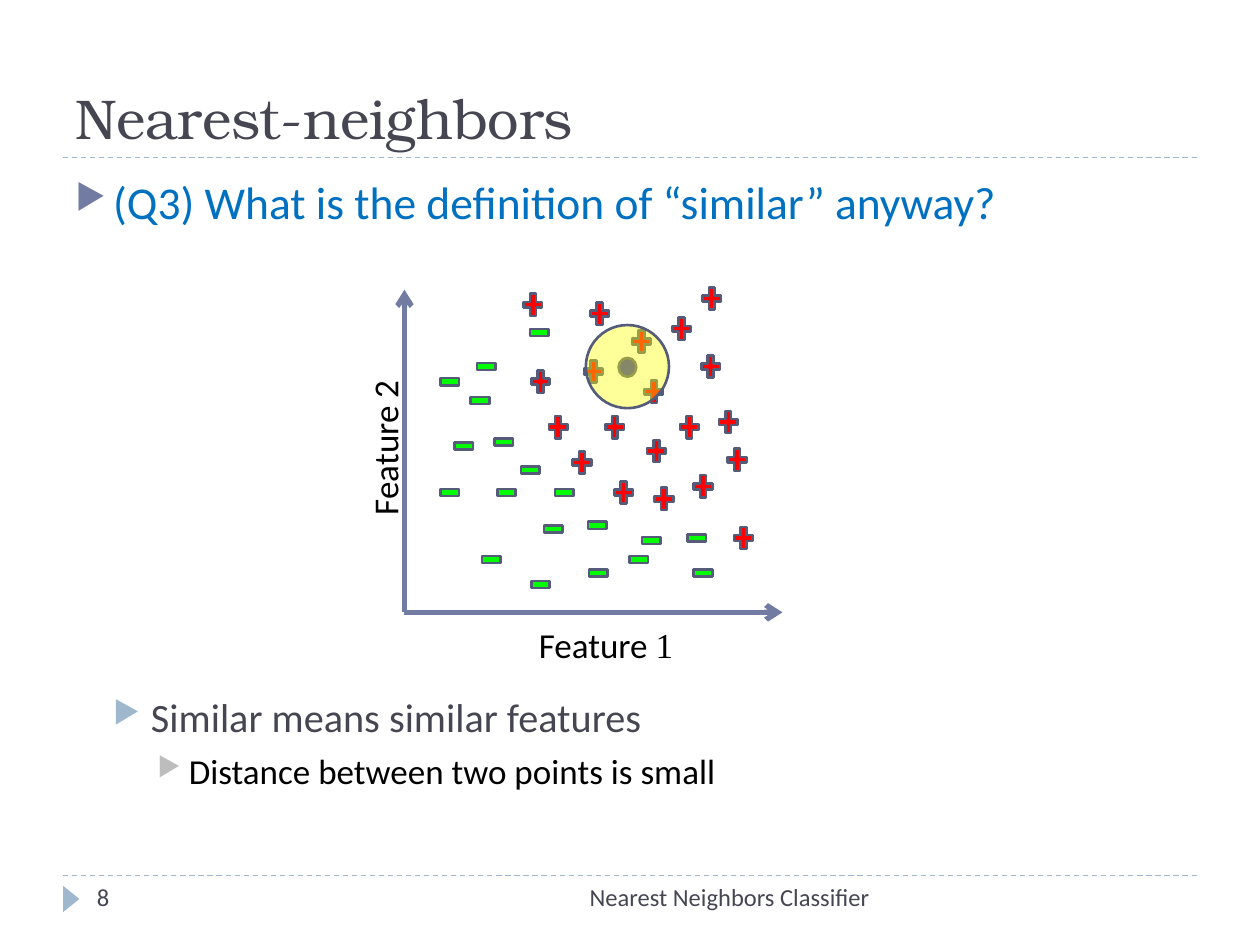
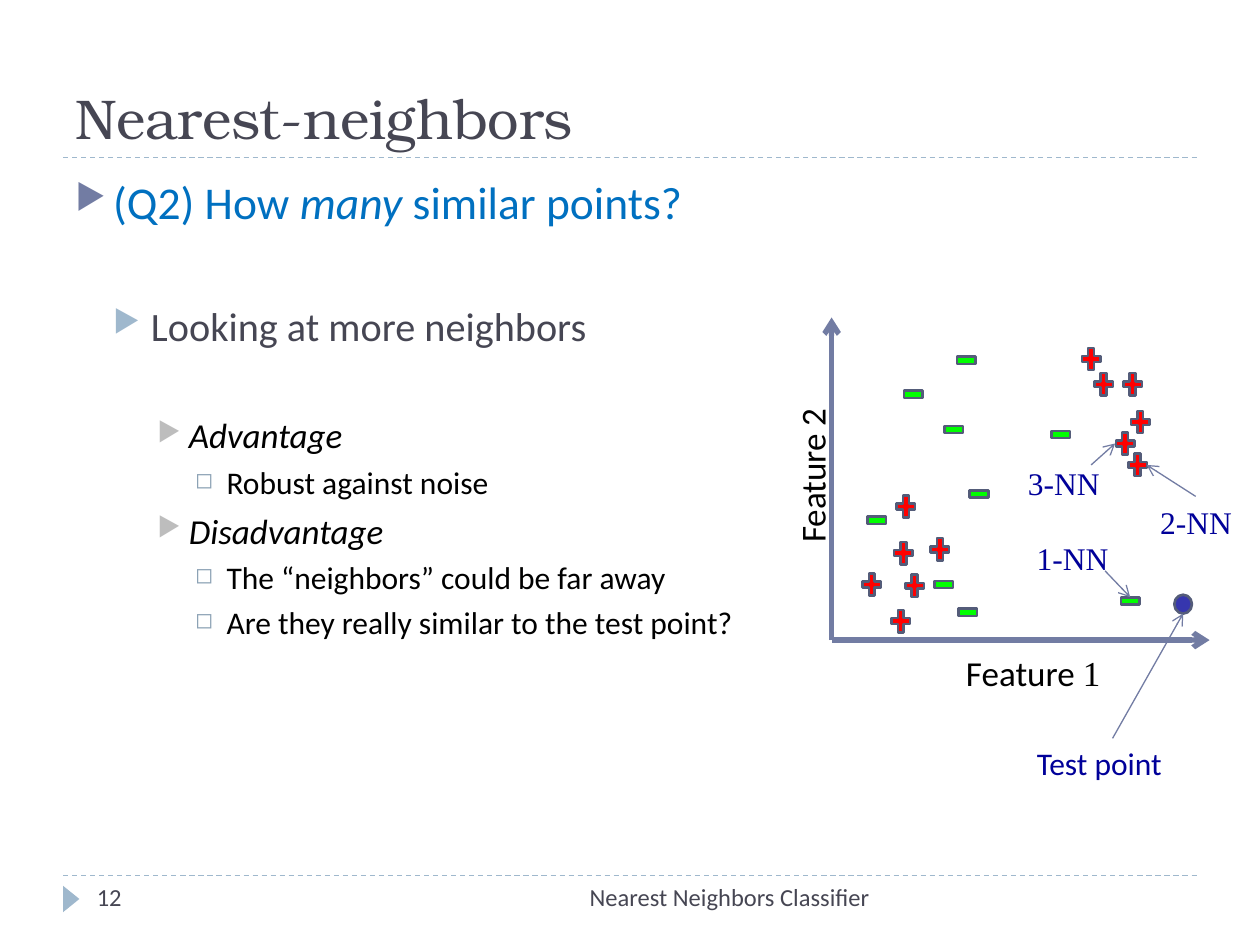
from dataclasses import dataclass

from lxml.etree import SubElement
from pptx import Presentation
from pptx.dml.color import RGBColor
from pptx.enum.dml import MSO_LINE
from pptx.enum.shapes import MSO_CONNECTOR, MSO_SHAPE
from pptx.enum.text import MSO_ANCHOR, MSO_AUTO_SIZE, PP_ALIGN
from pptx.oxml.ns import qn
from pptx.util import Inches, Pt


@dataclass(frozen=True)
class Theme:
    """Fonts, colours and type sizes of the deck."""
    head: str = "TeX Gyre Bonum"
    body: str = "Calibri"
    serif: str = "Times New Roman"
    ink: str = "464653"
    black: str = "000000"
    blue: str = "0070C0"
    navy: str = "000099"
    axis: str = "727CA3"
    edge: str = "545C79"
    pale: str = "9FB8CD"
    red: str = "FF0000"
    green: str = "00FF00"
    glow: str = "FFFF00"
    title: int = 32
    name: int = 20
    label: int = 18
    small: int = 14


@dataclass(frozen=True)
class Level:
    """Look of one outline level; indents in inches, the rest in points."""
    left: float
    hang: float
    gap: int
    size: int
    ink: str
    mark: str
    tint: str
    scale: int


T = Theme()
LEVELS = (
    Level(0.3, 0.3, 6, 26, T.blue, "▶", T.axis, 76),
    Level(0.6, 0.3, 5, 23, T.ink, "▶", T.pale, 76),
    Level(0.9, 0.25, 5, 20, T.black, "▶", "BDBDBD", 76),
    Level(1.2, 0.25, 4, 18, T.black, "◻", "8CA2B5", 70),
)


def paint(fill, tint, alpha=None):
    """Set a solid fill, see-through if alpha (percent) is given."""
    fill.solid()
    fill.fore_color.rgb = RGBColor.from_string(tint)
    if alpha:
        node = fill._xPr.find(qn("a:solidFill"))[0]
        SubElement(node, qn("a:alpha"), val=str(alpha * 1000))


def write(para, text, size, tint, font=T.body, slant=False):
    """Add one run to a paragraph."""
    run = para.add_run()
    run.text = text
    run.font.name, run.font.size = font, Pt(size)
    run.font.italic = slant
    run.font.color.rgb = RGBColor.from_string(tint)


def put_text(shapes, box, runs, align=PP_ALIGN.LEFT, grow=False, wrap=True):
    """Add a one-paragraph text box; runs are argument tuples for write."""
    shape = shapes.add_textbox(*map(Inches, box))
    frame = shape.text_frame
    frame.word_wrap = wrap
    if grow:
        frame.auto_size = MSO_AUTO_SIZE.SHAPE_TO_FIT_TEXT
    para = frame.paragraphs[0]
    para.alignment = align
    for run in runs:
        write(para, *run)
    return shape


def put_shape(shapes, kind, box, tint, alpha=None, edge=T.edge):
    """Add a filled preset shape with an optional outline."""
    shape = shapes.add_shape(kind, *map(Inches, box))
    shape.shadow.inherit = False
    paint(shape.fill, tint, alpha)
    if edge:
        paint(shape.line.fill, edge)
        shape.line.width = Pt(1.5)
    else:
        shape.line.fill.background()
    return shape


def put_line(shapes, start, end, tint, width, arrow=False, dash=False):
    """Add a straight line, dashed or ending in an arrowhead on demand."""
    line = shapes.add_connector(MSO_CONNECTOR.STRAIGHT,
                                *map(Inches, (*start, *end)))
    paint(line.line.fill, tint)
    line.line.width = Pt(width)
    if dash:
        line.line.dash_style = MSO_LINE.DASH
    if arrow:
        SubElement(line.line._get_or_add_ln(), qn("a:tailEnd"), type="arrow")
    SubElement(line._element.spPr, qn("a:effectLst"))


def put_frame(slide, number, box):
    """Place title, rules and footer inside the box."""
    left, top, wide, high = box
    title = slide.shapes.title
    title.left, title.top = Inches(left), Inches(top)
    title.width, title.height = Inches(wide), Inches(1.08)
    frame = title.text_frame
    frame.vertical_anchor = MSO_ANCHOR.BOTTOM
    frame.auto_size = MSO_AUTO_SIZE.NONE
    frame.paragraphs[0].alignment = PP_ALIGN.LEFT
    write(frame.paragraphs[0], "Nearest-neighbors", T.title, T.ink, T.head)

    foot = top + high - 0.4
    for y in (foot, top + 1.08):
        put_line(slide.shapes, (left, y), (left + wide, y), T.pale, 0.75,
                 dash=True)
    mark = put_shape(slide.shapes, MSO_SHAPE.ISOSCELES_TRIANGLE,
                     (left - 0.04, foot + 0.12, 0.21, 0.13), T.pale, edge=None)
    mark.rotation = 90
    put_text(slide.shapes, (left + 2.67, foot, 3.83, 0.4),
             [("Nearest Neighbors Classifier", T.small, T.ink)],
             PP_ALIGN.RIGHT)
    put_text(slide.shapes, (left + 0.17, foot, 2.17, 0.4),
             [(str(number), T.small, T.ink)])


def put_list(slide, box, items):
    """Place outline items: level, extra gap above in points, (text, slant)..."""
    frame = slide.shapes.add_textbox(*map(Inches, box)).text_frame
    frame.word_wrap = True
    for i, (depth, extra, *parts) in enumerate(items):
        look = LEVELS[depth]
        para = frame.add_paragraph() if i else frame.paragraphs[0]
        para.level = depth
        para.space_before = Pt(look.gap + extra)
        prop = para._p.get_or_add_pPr()
        prop.set("marL", str(Inches(look.left)))
        prop.set("indent", str(-Inches(look.hang)))
        tint = SubElement(prop, qn("a:buClr"))
        SubElement(tint, qn("a:srgbClr"), val=look.tint)
        SubElement(prop, qn("a:buSzPct"), val=str(look.scale * 1000))
        SubElement(prop, qn("a:buChar"), char=look.mark)
        for text, slant in parts:
            write(para, text, look.size, look.ink, slant=slant)


def put_plot(slide, box, plus, minus):
    """Place axes, their names and the marks, offset from the box corner."""
    left, top, wide, high = box
    base = top + high
    shapes = slide.shapes.add_group_shape().shapes
    for end in ((left + wide, base), (left, top)):
        put_line(shapes, (left, base), end, T.axis, 3, arrow=True)
    put_text(shapes, (left + 0.2, base + 0.04, 2.8, 0.31),
             [("Feature ", T.name, T.black),
              ("1", T.name, T.black, T.serif)], PP_ALIGN.CENTER, grow=True)
    side = put_text(shapes, (left - 1.88, base - 1.44, 3.28, 0.27),
                    [("Feature 2", T.name, T.black)], PP_ALIGN.CENTER,
                    grow=True)
    side.rotation = 270
    for kind, tint, spots in ((MSO_SHAPE.MATH_PLUS, T.red, plus),
                              (MSO_SHAPE.MATH_MINUS, T.green, minus)):
        for x, y in spots:
            put_shape(shapes, kind, (left + x, top + y, 0.2, 0.24), tint)


def put_point(slide, box, spot):
    """Place the test point, offset from the corner of the plot box."""
    put_shape(slide.shapes, MSO_SHAPE.OVAL,
              (box[0] + spot[0], box[1] + spot[1], 0.14, 0.15), T.navy, 79)


def put_notes(slide, box, notes):
    """Place labels with arrows: text, font, width, spot, start, end."""
    left, top = box[:2]
    for text, font, wide, spot, *ends in notes:
        put_text(slide.shapes, (left + spot[0], top + spot[1], wide, 0.4),
                 [(text, T.label, T.navy, font)], grow=True, wrap=False)
        start, end = [(left + x, top + y) for x, y in ends]
        put_line(slide.shapes, start, end, T.axis, 0.75, arrow=True)


def add_page(deck, number, items):
    """Add a title-only slide with its frame and outline."""
    slide = deck.slides.add_slide(deck.slide_layouts[5])
    put_frame(slide, number, (0.5, 0.17, 9, 7.18))
    put_list(slide, (0.5, 1.33, 9, 5.4), items)
    return slide


def add_close(deck):
    """Build the slide on what similar means."""
    slide = add_page(deck, 8, [
        (0, 0, ("(Q3) What is the definition of “similar” anyway?", False)),
        (1, 260, ("Similar means similar features", False)),
        (2, 0, ("Distance between two points is small", False)),
    ])
    box = (3.21, 2.3, 3, 2.56)
    plus = [
        (1.78, 0.29), (1.12, 0.97), (2.27, 1.44), (2.54, 1.23), (0.98, 0.61),
        (0.92, 0), (1.4, 0.53), (1.45, 0.07), (1.88, 0.69), (2.33, 0.49),
        (2.34, -0.05), (1.31, 1.25), (2.59, 1.85), (1.9, 1.16), (1.96, 1.54),
        (1.64, 1.49), (1.57, 0.97), (2.16, 0.97), (2.47, 0.93), (2.1, 0.19)]
    minus = [
        (0.71, 1.49), (0.9, 1.31), (1.43, 1.75), (1.76, 2.02), (0.69, 1.09),
        (0.26, 0.61), (0.26, 1.49), (0.59, 2.02), (1.08, 1.78), (0.37, 1.12),
        (0.97, 0.22), (1.17, 1.49), (2.22, 1.85), (1.86, 1.87), (0.5, 0.76),
        (0.55, 0.49), (1.44, 2.13), (0.98, 2.22), (2.27, 2.13)]
    put_plot(slide, box, plus, minus)
    put_point(slide, box, (1.7, 0.54))
    put_shape(slide.shapes, MSO_SHAPE.OVAL,
              (box[0] + 1.44, box[1] + 0.28, 0.66, 0.66), T.glow, 40)


def add_count(deck):
    """Build the slide on how many neighbors to use."""
    slide = add_page(deck, 12, [
        (0, 0, ("(Q2) How ", False), ("many", True),
         (" similar points?", False)),
        (1, 36.5, ("Looking at more neighbors", False)),
        (2, 32, ("Advantage", True)),
        (3, 0, ("Robust against noise", False)),
        (2, 0, ("Disadvantage", True)),
        (3, 0, ("The “neighbors” could be far away", False)),
        (3, 0, ("Are they really similar to the test point?", False)),
    ])
    box = (6.6, 2.52, 3, 2.56)
    plus = [
        (0.49, 1.38), (1.96, 0.21), (2.35, 0.71), (2.06, 0.41), (2.23, 0.88),
        (0.45, 2.29), (0.47, 1.75), (0.76, 1.72), (2.33, 1.05), (0.56, 2.01),
        (2.29, 0.41), (0.22, 2)]
    minus = [
        (1.72, 0.81), (0.26, 1.49), (0.79, 2), (1.07, 1.28), (0.97, 0.22),
        (0.87, 0.77), (0.55, 0.49), (0.98, 2.22), (2.27, 2.13)]
    put_plot(slide, box, plus, minus)
    put_point(slide, box, (2.72, 2.2))
    put_notes(slide, box, [
        ("Test point", T.body, 1.39, (1.53, 3.34), (2.23, 3.34), (2.79, 2.35)),
        ("1-NN", T.serif, 0.77, (1.53, 1.71), (2.17, 2.01), (2.37, 2.22)),
        ("2-NN", T.serif, 0.77, (2.51, 1.42), (2.89, 1.42), (2.5, 1.17)),
        ("3-NN", T.serif, 0.77, (1.46, 1.11), (2.06, 1.17), (2.25, 1)),
    ])


def main():
    """Build and save the deck."""
    deck = Presentation()
    deck.slide_width, deck.slide_height = Inches(10), Inches(7.5)
    add_close(deck)
    add_count(deck)
    deck.save("out.pptx")


main()
